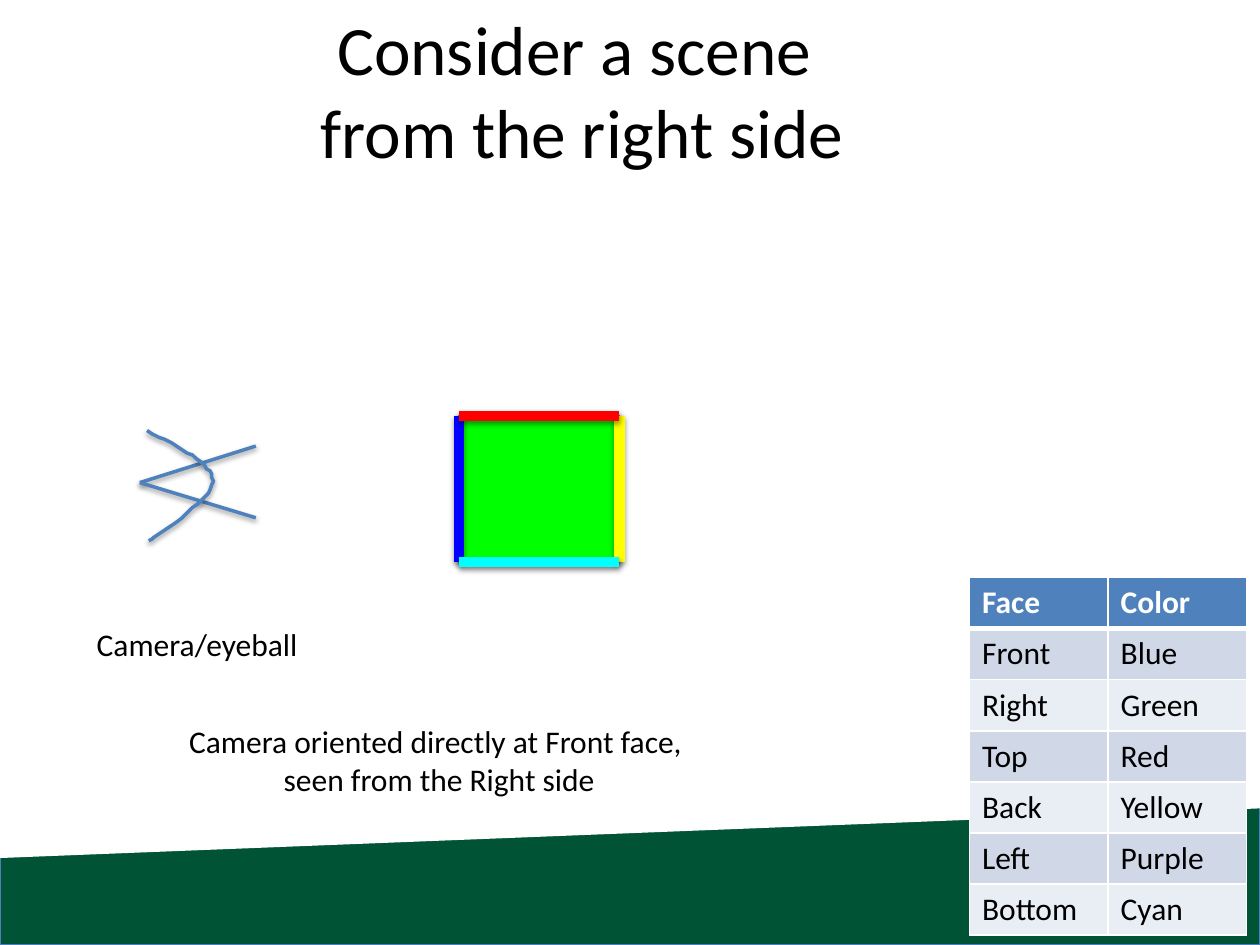
"""Build a slide showing a camera facing a coloured cube from the right side."""
import pptx
import pptx.util
import pptx.dml.color
import pptx.enum.shapes
import pptx.enum.text
import pptx.oxml
import pptx.oxml.ns

Pt = pptx.util.Pt
SHAPE = pptx.enum.shapes.MSO_SHAPE
ALIGN = pptx.enum.text.PP_ALIGN
COLORS = {
    "band": "005334", "outline": "4B7EBC", "accent": "4F81BD",
    "white": "FFFFFF", "black": "000000",
    "odd": "D0D8E8", "even": "E9EDF4",
    "front": "0000FF", "right": "00FF00", "top": "FF0000",
    "back": "FFFF00", "bottom": "00FFFF",
}
FACES = [("Face", "Color"), ("Front", "Blue"), ("Right", "Green"), ("Top", "Red"),
         ("Back", "Yellow"), ("Left", "Purple"), ("Bottom", "Cyan")]


def rgb(name):
    """Return the named colour."""
    return pptx.dml.color.RGBColor.from_string(COLORS[name])


def set_font(p, color="black", **values):
    """Format every run of a paragraph."""
    values = {"name": "Calibri", "size": Pt(18), "bold": False, **values}
    for r in p.runs:
        for key, value in values.items():
            setattr(r.font, key, value)
        r.font.color.rgb = rgb(color)


def set_frame(tf, **values):
    """Set the properties of a text frame."""
    for key, value in values.items():
        setattr(tf, key, value)


def set_line(sp, color, width):
    """Set the colour and width of an outline."""
    sp.line.color.rgb = rgb(color)
    sp.line.width = Pt(width)


def add_shadow(sp, alpha, dist):
    """Give a shape or connector a soft shadow straight below it."""
    sp._element.spPr.append(pptx.oxml.parse_xml(
        f'<a:effectLst {pptx.oxml.ns.nsdecls("a")}>'
        f'<a:outerShdw blurRad="{Pt(3.1)}" dist="{Pt(dist)}" dir="5400000" rotWithShape="0">'
        f'<a:srgbClr val="{COLORS["black"]}"><a:alpha val="{alpha * 1000}"/></a:srgbClr>'
        '</a:outerShdw></a:effectLst>'))


def add_box(s, box, fill):
    """Add a filled rectangle with a thin outline and a shadow."""
    sp = s.shapes.add_shape(SHAPE.RECTANGLE, *map(Pt, box))
    sp.fill.solid()
    sp.fill.fore_color.rgb = rgb(fill)
    set_line(sp, "outline", 0.75)
    add_shadow(sp, 35, 1.8)


def add_slant(s):
    """Add the white parallelogram that cuts the band at a slant."""
    sp = s.shapes.add_shape(SHAPE.PARALLELOGRAM, Pt(276.5), Pt(46.8), Pt(167), Pt(720))
    sp.adjustments[0] = 0.17
    sp.rotation = 90
    sp._element.spPr.find(pptx.oxml.ns.qn("a:xfrm")).set("flipH", "1")
    sp.fill.solid()
    sp.fill.fore_color.rgb = rgb("white")
    sp.line.fill.background()
    sp.shadow.inherit = False


def add_line(s, start, end, color, width):
    """Add a straight line with a shadow."""
    line = s.shapes.add_connector(
        pptx.enum.shapes.MSO_CONNECTOR.STRAIGHT, *map(Pt, start + end))
    set_line(line, color, width)
    add_shadow(line, 38, 1.6)


def bezier(points, steps=16):
    """Return points along a cubic curve."""
    curve = []
    for i in range(steps + 1):
        t = i / steps
        weights = ((1 - t) ** 3, 3 * t * (1 - t) ** 2, 3 * t * t * (1 - t), t ** 3)
        curve.append(tuple(sum(w * pt[axis] for w, pt in zip(weights, points))
                           for axis in (0, 1)))
    return curve


def add_curve(s, *segments):
    """Add an open curve made of cubic segments."""
    points = [pt for segment in segments for pt in bezier(segment)]
    builder = s.shapes.build_freeform(*points[0], scale=Pt(1))
    builder.add_line_segments(points[1:], close=False)
    sp = builder.convert_to_shape()
    sp.fill.background()
    set_line(sp, "accent", 2)
    add_shadow(sp, 38, 1.6)


def add_text(s, box, lines, align):
    """Add a text box with one paragraph per line."""
    tf = s.shapes.add_textbox(*map(Pt, box)).text_frame
    set_frame(tf, word_wrap=False, auto_size=pptx.enum.text.MSO_AUTO_SIZE.SHAPE_TO_FIT_TEXT)
    tf.text = "\n".join(lines)
    for p in tf.paragraphs:
        p.alignment = align
        set_font(p)


def add_title(s, text):
    """Place and format the title."""
    sp = s.shapes.title
    sp.left, sp.top, sp.width, sp.height = map(Pt, (11.5, 12.2, 642.2, 77.8))
    tf = sp.text_frame
    set_frame(tf, word_wrap=True, auto_size=pptx.enum.text.MSO_AUTO_SIZE.NONE,
              vertical_anchor=pptx.enum.text.MSO_ANCHOR.MIDDLE)
    tf.text = text
    p = tf.paragraphs[0]
    p.alignment = ALIGN.CENTER
    set_font(p, size=Pt(39.6))


def set_borders(cell, **widths):
    """Draw white borders of the given widths around a cell."""
    for side, width in widths.items():
        cell._tc.get_or_add_tcPr().append(pptx.oxml.parse_xml(
            f'<a:ln{side} {pptx.oxml.ns.nsdecls("a")} w="{Pt(width)}"><a:solidFill>'
            f'<a:srgbClr val="{COLORS["white"]}"/></a:solidFill></a:ln{side}>'))


def add_face_table(s, left, top, col_width, row_height):
    """Add the table of cube faces and their colours."""
    rows, cols = len(FACES), len(FACES[0])
    table = s.shapes.add_table(rows, cols, Pt(left), Pt(top), Pt(cols * col_width),
                               Pt(rows * row_height)).table
    for i, row in enumerate(FACES):
        for j, text in enumerate(row):
            cell = table.cell(i, j)
            cell.text = text
            header = i == 0
            set_font(cell.text_frame.paragraphs[0], "white" if header else "black", bold=header)
            set_borders(cell, L=1, R=1, T=3 if i == 1 else 1, B=3 if header else 1)
            cell.fill.solid()
            cell.fill.fore_color.rgb = rgb("accent" if header else "odd" if i % 2 else "even")


def add_camera(s):
    """Add the eye: two sight lines and a curved lens."""
    for y in (254.9, 295.9):
        add_line(s, (79.9, 275.8), (146.2, y), "accent", 2)
    add_curve(s, [(83.5, 246.2), (103, 255.6), (121.7, 265), (121.7, 275)],
              [(121.7, 275), (122.4, 285.8), (85, 308.9), (85, 308.9)])


def add_cube(s, left, top, right, bottom):
    """Add the right face of the cube, edged by its four neighbours."""
    add_box(s, (left, top, right - left, bottom - top), "right")
    nw, ne, sw, se = (left, top), (right, top), (left, bottom), (right, bottom)
    for start, end, face in ((nw, sw, "front"), (ne, se, "back"),
                             (sw, se, "bottom"), (nw, ne, "top")):
        add_line(s, start, end, face, 6)


def main():
    """Build and save the slide."""
    prs = pptx.Presentation()
    prs.slide_width, prs.slide_height = Pt(720), Pt(540)
    s = prs.slides.add_slide(prs.slide_layouts[5])
    add_box(s, (0, 404, 720, 136), "band")
    add_slant(s)
    add_title(s, "Consider a scene \vfrom the right side")
    add_camera(s)
    add_text(s, (48.2, 353.5, 141.8, 29), ["Camera/eyeball"], ALIGN.LEFT)
    add_face_table(s, 554, 330, 79.2, 29.2)
    add_text(s, (88.6, 409, 324.7, 51), ["Camera oriented directly at Front face, ",
                                         "seen from the Right side"], ALIGN.CENTER)
    add_cube(s, 262.3, 237.6, 354, 321.2)
    prs.save("out.pptx")


if __name__ == "__main__":
    main()
